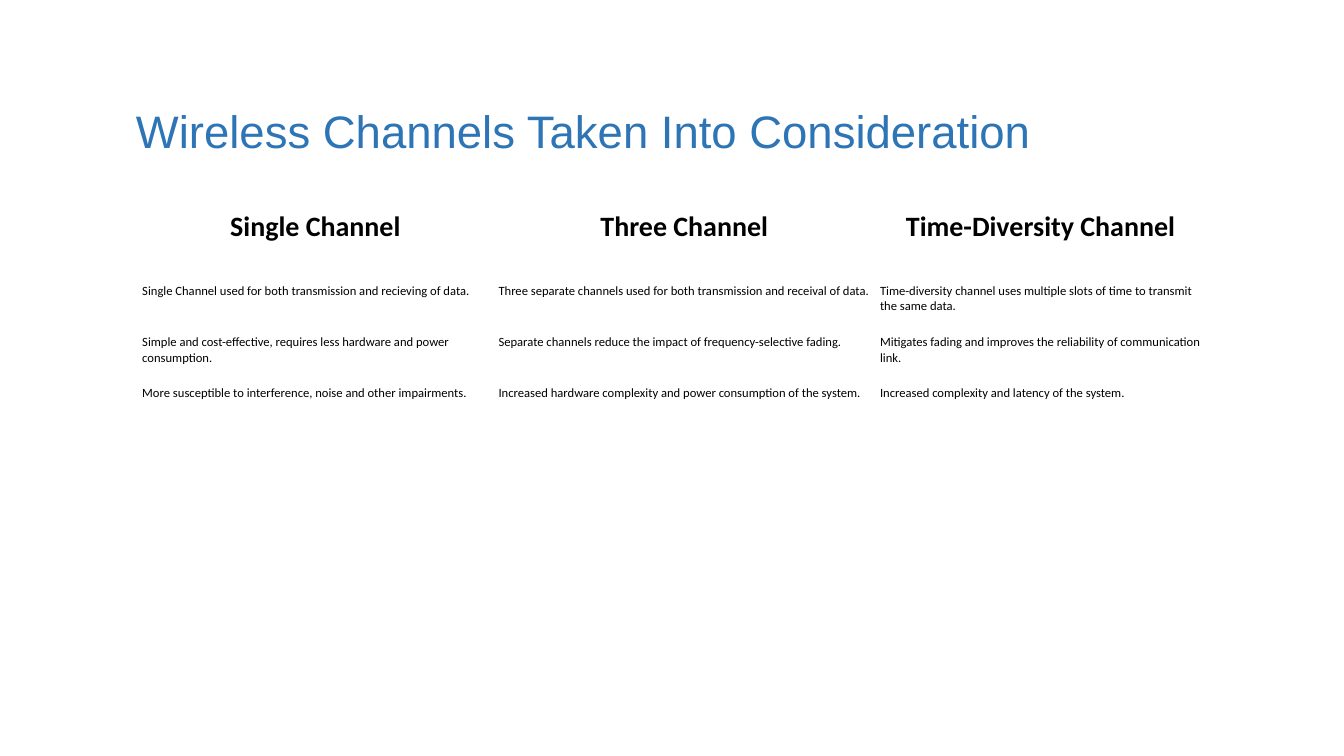
from pptx import Presentation
from pptx.dml.color import RGBColor
from pptx.enum.text import MSO_ANCHOR as Anchor, MSO_AUTO_SIZE as Fit, PP_ALIGN as Align
from pptx.util import Pt

HEADS = ["Single Channel", "Three Channel", "Time-Diversity Channel"]
ROWS = [
    ["Single Channel used for both transmission and recieving of data.",
     "Three separate channels used for both transmission and receival of data.",
     "Time-diversity channel uses multiple slots of time to transmit the same data."],
    ["Simple and cost-effective, requires less hardware and power consumption.",
     "Separate channels reduce the impact of frequency-selective fading.",
     "Mitigates fading and improves the reliability of communication link."],
    ["More susceptible to interference, noise and other impairments.",
     "Increased hardware complexity and power consumption of the system.",
     "Increased complexity and latency of the system."],
]
SHARES = [7.07, 7.57, 6.57]
HEAD_TALL, ROW_TALL = 104.8, 73.1


def paint(color, code):
    color.rgb = RGBColor.from_string(code)


def write(frame, text, size, font="Calibri", color="000000", bold=False,
          align=Align.LEFT, space=1.0):
    frame.word_wrap = True
    para = frame.paragraphs[0]
    para.alignment = align
    para.line_spacing = space
    run = para.add_run()
    run.text = text
    run.font.size = Pt(size)
    run.font.name = font
    run.font.bold = bold
    paint(run.font.color, color)


def add_title(slide, left, top, width, height):
    title = slide.shapes.title
    title.left, title.top = Pt(left), Pt(top)
    title.width, title.height = Pt(width), Pt(height)
    frame = title.text_frame
    frame.auto_size = Fit.NONE
    frame.vertical_anchor = Anchor.MIDDLE
    write(frame, "Wireless Channels Taken Into Consideration", 65,
          font="Arial", color="2E75B6", space=0.9)


def add_grid(slide, left, top, width):
    talls = [HEAD_TALL] + [ROW_TALL] * len(ROWS)
    table = slide.shapes.add_table(len(talls), len(HEADS), Pt(left), Pt(top),
                                   Pt(width), Pt(sum(talls))).table
    table.first_row = table.horz_banding = False
    for col, share in zip(table.columns, SHARES):
        col.width = Pt(width * share / sum(SHARES))
    for row, tall, texts in zip(table.rows, talls, [HEADS] + ROWS):
        row.height = Pt(tall)
        for cell, text in zip(row.cells, texts):
            cell.fill.background()
            if texts is HEADS:
                write(cell.text_frame, text, 40, bold=True, align=Align.CENTER)
            else:
                write(cell.text_frame, text, 18)


def main():
    deck = Presentation()
    deck.slide_width, deck.slide_height = Pt(1920), Pt(1080)
    slide = deck.slides.add_slide(deck.slide_layouts[5])
    add_title(slide, 187, 86, 1545, 211)
    add_grid(slide, 196, 296.6, 1527)
    deck.save("out.pptx")


if __name__ == "__main__":
    main()
